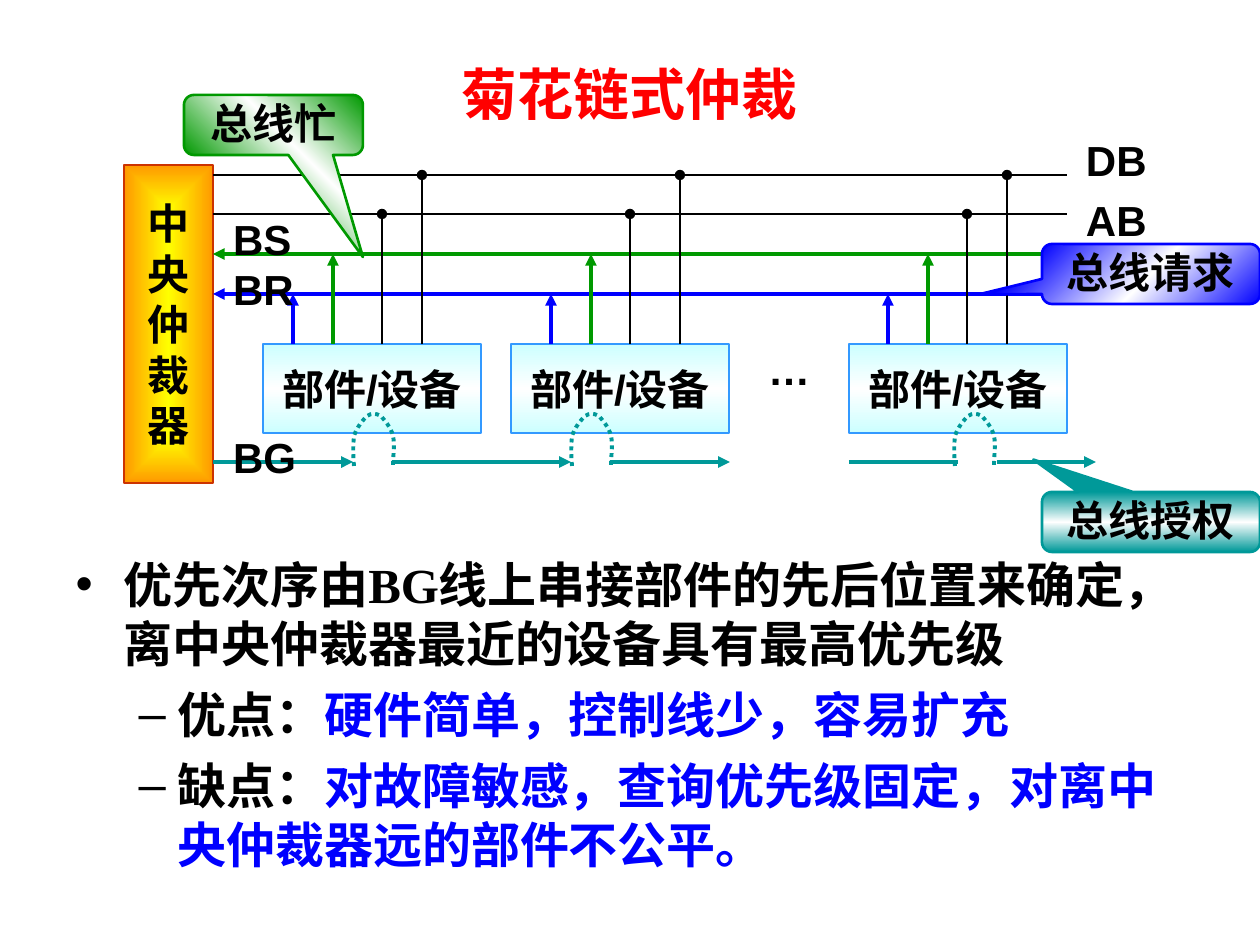
from dataclasses import dataclass
import pptx
import pptx.util
import pptx.dml.color
import pptx.enum.dml
import pptx.enum.shapes
import pptx.enum.text
import pptx.oxml.ns
from lxml import etree

qn = pptx.oxml.ns.qn
KIND = pptx.enum.shapes.MSO_SHAPE
MID = pptx.enum.text.MSO_ANCHOR.MIDDLE
TOP = pptx.enum.text.MSO_ANCHOR.TOP
CENTER = pptx.enum.text.PP_ALIGN.CENTER
LEFT = pptx.enum.text.PP_ALIGN.LEFT

BLACK, WHITE, RED = "000000", "FFFFFF", "FF0000"
GREEN, BLUE, TEAL = "009900", "0000FF", "009999"

# Heights of the bus lines, and the ends of the bus
DATA, ADDR, BUSY, ASK, GRANT = 175, 214, 254, 294, 462
START, END = 213, 1067
DEV_TOP, DEV_W, DEV_H = 344, 218, 89

# Control points of the bypass arc, from the arc's left end
ARC = [(1, 466), (0, 455), (0, 445), (1, 436), (4, 427), (10, 420), (14, 416),
       (19, 413), (22, 413), (28, 416), (31, 420), (38, 427), (40, 436),
       (42, 445), (40, 455), (40, 466)]


@dataclass
class Device:
    left: int
    ask: int
    busy: int
    addr: int
    data: int
    arc: int


@dataclass
class Label:
    text: str
    left: int
    top: int
    width: int
    align: object = LEFT


@dataclass
class Callout:
    text: str
    box: tuple
    color: str
    angle: int
    tip: tuple


DEVICES = [Device(263, 293, 333, 382, 422, 353),
           Device(511, 551, 591, 630, 680, 571),
           Device(849, 888, 928, 967, 1007, 954)]

LABELS = [Label("…", 730, 344, 118, CENTER),
          Label("DB", 1086, 135, 90), Label("AB", 1086, 195, 80),
          Label("BS", 233, 214, 70), Label("BR", 233, 264, 70),
          Label("BG", 233, 432, 70)]

CALLOUTS = [Callout("总线授权", (1042, 492, 218, 60), TEAL, 90, (-0.54, -1.04)),
            Callout("总线请求", (1042, 244, 218, 60), BLUE, 225, (-0.79, 0.34)),
            Callout("总线忙", (184, 95, 179, 60), GREEN, 135, (0.5, 2.2))]

# Grant line pieces: left, right, arrow at the right end
GRANTS = [(START, 353, True), (392, 571, True), (610, 730, True),
          (849, 958, False), (997, 1096, True)]


def px(n: int) -> int:
    return round(n * 914400 / 126)


def rgb(code: str):
    return pptx.dml.color.RGBColor.from_string(code)


def style(para, size: int, color: str = BLACK, face: str = "Arial") -> None:
    font = para.font
    font.size, font.name, font.bold = pptx.util.Pt(size), face, True
    font.color.rgb = rgb(color)


def write(shape, text: str, align, anchor, wrap: bool) -> None:
    frame = shape.text_frame
    frame.margin_left = frame.margin_right = 0
    frame.margin_top = frame.margin_bottom = 0
    frame.word_wrap, frame.vertical_anchor = wrap, anchor
    frame.text = text
    for para in frame.paragraphs:
        para.alignment = align
        style(para, 24)


def shade(shape, stops: list, angle: int | None) -> None:
    """Gradient along an angle, or from the centre outward without one."""
    shape.fill.gradient()
    grad = shape._element.spPr.find(qn("a:gradFill"))
    grad.clear()
    group = etree.SubElement(grad, qn("a:gsLst"))
    for pos, color in stops:
        stop = etree.SubElement(group, qn("a:gs"), pos=str(pos * 1000))
        etree.SubElement(stop, qn("a:srgbClr"), val=color)
    if angle is None:
        way = etree.SubElement(grad, qn("a:path"), {"path": "rect"})
        etree.SubElement(way, qn("a:fillToRect"),
                         {side: "50000" for side in "ltrb"})
    else:
        etree.SubElement(grad, qn("a:lin"), ang=str(angle * 60000), scaled="0")


def block(shapes, kind, box: tuple, text: str, stops: list, edge: str,
          angle: int | None = None, anchor=MID, wrap: bool = False):
    shape = shapes.add_shape(kind, *map(px, box))
    shape.shadow.inherit = False
    shade(shape, stops, angle)
    shape.line.color.rgb = rgb(edge)
    shape.line.width = pptx.util.Pt(1.5)
    write(shape, text, CENTER, anchor, wrap)
    return shape


def wire(shapes, start: tuple, end: tuple, color: str, width: float,
         head: str = "", tail: str = "") -> None:
    line = shapes.add_connector(pptx.enum.shapes.MSO_CONNECTOR.STRAIGHT,
                                *map(px, start + end))
    line.line.color.rgb = rgb(color)
    line.line.width = pptx.util.Pt(width)
    for tag, mark in (("a:headEnd", head), ("a:tailEnd", tail)):
        if mark:
            etree.SubElement(line.line._get_or_add_ln(), qn(tag), type=mark)
    etree.SubElement(line._element.spPr, qn("a:effectLst"))


def bypass(shapes, left: int) -> None:
    points = [(px(left + x), px(y)) for x, y in ARC]
    pen = shapes.build_freeform(*points[0])
    pen.add_line_segments(points[1:], close=False)
    arc = pen.convert_to_shape()
    # Merge each three straight steps into one curve
    track = arc._element.find(".//" + qn("a:path"))
    steps = track.findall(qn("a:lnTo"))
    for i in range(0, len(steps), 3):
        curve = etree.SubElement(track, qn("a:cubicBezTo"))
        for step in steps[i:i + 3]:
            curve.append(step[0])
            track.remove(step)
    arc.fill.background()
    arc.shadow.inherit = False
    arc.line.color.rgb = rgb(TEAL)
    arc.line.width = pptx.util.Pt(2.25)
    arc.line.dash_style = pptx.enum.dml.MSO_LINE.ROUND_DOT


def place(shape, box: tuple) -> None:
    shape.left, shape.top, shape.width, shape.height = map(px, box)
    shape.text_frame.auto_size = pptx.enum.text.MSO_AUTO_SIZE.NONE


def point(para, level: int, parts: list, face: str) -> None:
    para.level = level
    left, hang, mark = [(48, 48, "•"), (102, 39, "–")][level]
    props = para._p.get_or_add_pPr()
    props.set("marL", str(px(left)))
    props.set("indent", str(-px(hang)))
    tint = etree.SubElement(props, qn("a:buClr"))
    etree.SubElement(tint, qn("a:srgbClr"), val=BLACK)
    etree.SubElement(props, qn("a:buChar"), char=mark)
    style(para, 28, face=face)
    for text, color in parts:
        run = para.add_run()
        run.text = text
        if color != BLACK:
            run.font.color.rgb = rgb(color)


def main() -> None:
    deck = pptx.Presentation()
    deck.slide_width, deck.slide_height = px(1260), px(945)
    slide = deck.slides.add_slide(deck.slide_layouts[1])
    shapes = slide.shapes

    # Title and list
    title, body = slide.placeholders
    place(title, (63, 38, 1134, 110))
    title.text_frame.text = "菊花链式仲裁"
    title.text_frame.vertical_anchor = MID
    title.text_frame.paragraphs[0].alignment = CENTER
    style(title.text_frame.paragraphs[0], 32, RED)
    place(body, (63, 548, 1134, 354))
    frame = body.text_frame
    point(frame.paragraphs[0], 0, [("优先次序由BG线上串接部件的先后位置来确定，"
          "离中央仲裁器最近的设备具有最高优先级", BLACK)], "Times New Roman")
    frame.paragraphs[0].space_before = 0
    for name, text in (("优点：", "硬件简单，控制线少，容易扩充"),
                       ("缺点：", "对故障敏感，查询优先级固定，对离中央仲裁器远的部件不公平。")):
        para = frame.add_paragraph()
        point(para, 1, [(name, BLACK), (text, BLUE)], "Arial")
        para.space_before = pptx.util.Pt(7)

    # Arbiter and bus lines
    block(shapes, KIND.RECTANGLE, (124, 165, 89, 318), "\n".join("中央仲裁器"),
          [(0, "FFFF00"), (100, "FF9900")], "CC3300")
    for y, color, width, head in ((DATA, BLACK, 1.5, ""), (ADDR, BLACK, 1.5, ""),
                                  (BUSY, GREEN, 2.25, "triangle"),
                                  (ASK, BLUE, 2.25, "triangle")):
        wire(shapes, (START, y), (END, y), color, width, head=head)

    # Devices with their taps and bypass arcs
    for dev in DEVICES:
        block(shapes, KIND.RECTANGLE, (dev.left, DEV_TOP, DEV_W, DEV_H), "部件/设备",
              [(0, "CCFFFF"), (50, WHITE), (100, "CCFFFF")], "3399FF", 90)
        bypass(shapes, dev.arc)
        for x, y, color in ((dev.ask, ASK, BLUE), (dev.busy, BUSY, GREEN)):
            wire(shapes, (x, DEV_TOP), (x, y), color, 2.25, tail="triangle")
        for x, y in ((dev.addr, ADDR), (dev.data, DATA)):
            wire(shapes, (x, y), (x, DEV_TOP), BLACK, 1.5, head="oval")
    for left, right, arrow in GRANTS:
        wire(shapes, (left, GRANT), (right, GRANT), TEAL, 2.25,
             tail="triangle" if arrow else "")

    # Labels and callouts
    for label in LABELS:
        box = shapes.add_textbox(*map(px, (label.left, label.top, label.width, 50)))
        write(box, label.text, label.align, TOP, True)
    for call in CALLOUTS:
        shape = block(shapes, KIND.ROUNDED_RECTANGULAR_CALLOUT, call.box, call.text,
                      [(0, call.color), (50, WHITE), (100, call.color)],
                      call.color, call.angle, TOP, True)
        shape.adjustments[0], shape.adjustments[1] = call.tip

    deck.save("out.pptx")


if __name__ == "__main__":
    main()
